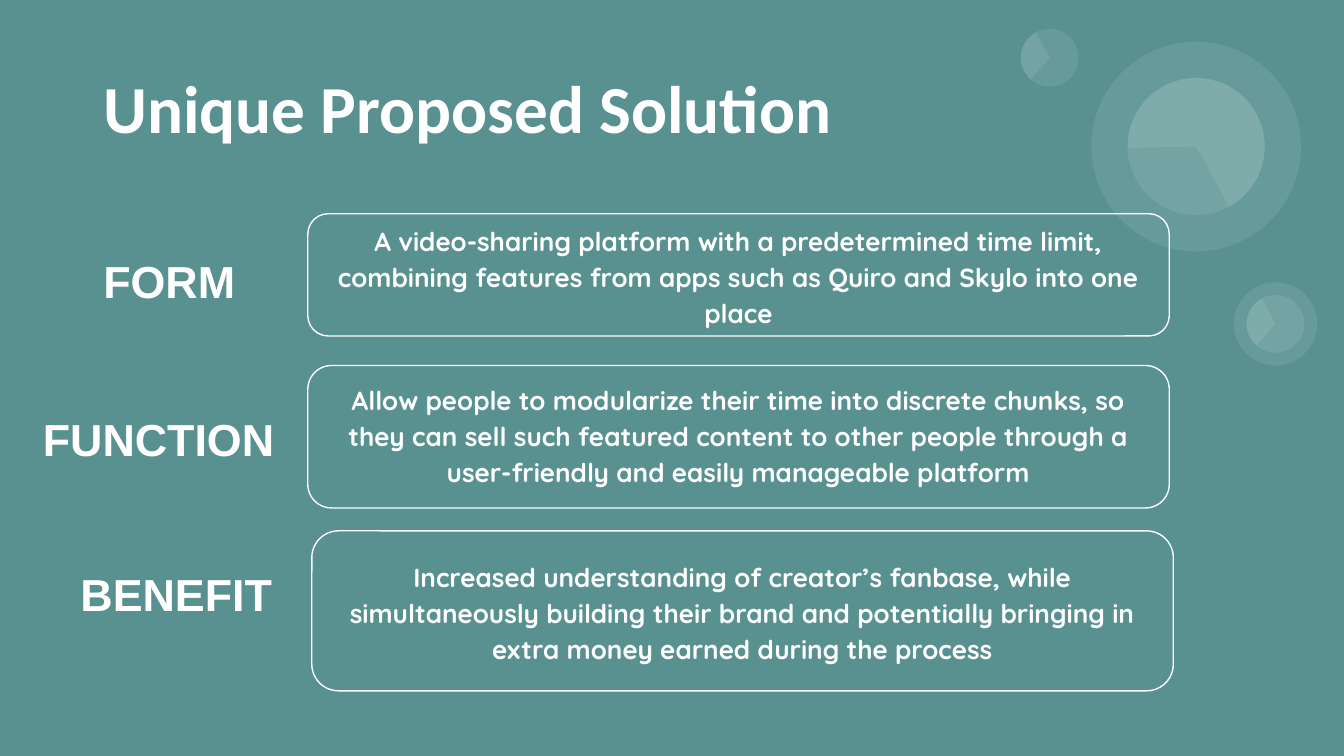
from dataclasses import dataclass

from lxml import etree
from pptx import Presentation
from pptx import util as u
from pptx.dml import color
from pptx.enum import shapes, text
from pptx.oxml import ns


@dataclass(frozen=True)
class Theme:
    background: color.RGBColor = color.RGBColor(0x59, 0x91, 0x91)
    white: color.RGBColor = color.RGBColor(0xFF, 0xFF, 0xFF)
    bubble_alpha: int = 9
    title_font: str = "Calibri"
    label_font: str = "Arial"
    body_font: str = "Quicksand"
    title_size: int = 36
    label_size: int = 24
    body_size: int = 14
    outline: float = 0.75


THEME = Theme()
SLIDE_WIDTH = 10
SLIDE_HEIGHT = SLIDE_WIDTH * 9 / 16
MARGIN = 0.1
BOX_WIDTH = 6.41

BUBBLES = [
    (8.9, 1.09, 1.02, 215.9, (193.77, 123.14)),
    (8.9, 1.09, 1.56, 215.9, None),
    (9.49, 2.41, 0.62, 35.9, None),
    (9.49, 2.41, 0.43, 35.9, (57, 123.14)),
    (7.81, 0.43, 0.43, 35.9, (57, 123.14)),
]

ROWS = [
    ("FORM", (0.67, 1.79, 1.28, 0.5), (2.29, 1.59, BOX_WIDTH, 0.91), MARGIN,
     "A video-sharing platform with a predetermined time limit, combining "
     "features from apps such as Quiro and Skylo into one place"),
    ("FUNCTION", (0.22, 2.96, 2.18, 0.71), (2.29, 2.72, BOX_WIDTH, 1.06), 0.14,
     "Allow people to modularize their time into discrete chunks, so they can "
     "sell such featured content to other people through a user-friendly and "
     "easily manageable platform"),
    ("BENEFIT", (0.5, 4.12, 1.65, 0.71), (2.32, 3.95, BOX_WIDTH, 1.19), MARGIN,
     "Increased understanding of creator’s fanbase, while simultaneously "
     "building their brand and potentially bringing in extra money earned "
     "during the process"),
]


def inches(values):
    return [u.Inches(v) for v in values]


def write(s, content, font, size, anchor, align=text.PP_ALIGN.LEFT,
          spacing=1.0, bottom=MARGIN):
    tf = s.text_frame
    tf.word_wrap = True
    tf.auto_size = text.MSO_AUTO_SIZE.NONE
    tf.vertical_anchor = anchor
    tf.margin_left = tf.margin_right = tf.margin_top = u.Inches(MARGIN)
    tf.margin_bottom = u.Inches(bottom)
    p = tf.paragraphs[0]
    p.text = content
    p.alignment = align
    p.line_spacing = spacing
    p.font.name = font
    p.font.size = u.Pt(size)
    p.font.bold = True
    p.font.color.rgb = THEME.white


def add_disc(slide, kind, cx, cy, size, rotation):
    at = inches((cx - size / 2, cy - size / 2, size, size))
    s = slide.shapes.add_shape(kind, *at)
    s.shadow.inherit = False
    s.rotation = rotation
    s.line.fill.background()
    s.fill.solid()
    s.fill.fore_color.rgb = THEME.white
    rgb = s.fill._xPr.find(".//" + ns.qn("a:srgbClr"))
    alpha = etree.SubElement(rgb, ns.qn("a:alpha"))
    alpha.set("val", str(THEME.bubble_alpha * 1000))
    return s


def add_bubble(slide, cx, cy, size, rotation, sector):
    add_disc(slide, shapes.MSO_SHAPE.OVAL, cx, cy, size, rotation)
    if sector:
        pie = add_disc(slide, shapes.MSO_SHAPE.PIE, cx, cy, size, rotation)
        pie.adjustments[0], pie.adjustments[1] = sector


def set_title(slide, content):
    s = slide.shapes.title
    s.left, s.top, s.width, s.height = inches((0.67, 0.44, BOX_WIDTH, 0.71))
    write(s, content, THEME.title_font, THEME.title_size, text.MSO_ANCHOR.MIDDLE)


def add_label(slide, at, content):
    s = slide.shapes.add_textbox(*inches(at))
    write(s, content, THEME.label_font, THEME.label_size, text.MSO_ANCHOR.TOP)


def add_box(slide, at, content, bottom):
    s = slide.shapes.add_shape(shapes.MSO_SHAPE.ROUNDED_RECTANGLE, *inches(at))
    s.shadow.inherit = False
    s.fill.background()
    s.line.color.rgb = THEME.white
    s.line.width = u.Pt(THEME.outline)
    write(s, content, THEME.body_font, THEME.body_size,
          text.MSO_ANCHOR.MIDDLE, text.PP_ALIGN.CENTER, 1.15, bottom)


def main():
    prs = Presentation()
    prs.slide_width, prs.slide_height = inches((SLIDE_WIDTH, SLIDE_HEIGHT))
    slide = prs.slides.add_slide(prs.slide_layouts.get_by_name("Title Only"))
    slide.background.fill.solid()
    slide.background.fill.fore_color.rgb = THEME.background
    for bubble in BUBBLES:
        add_bubble(slide, *bubble)
    set_title(slide, "Unique Proposed Solution")
    for label, label_at, box_at, bottom, description in ROWS:
        add_box(slide, box_at, description, bottom)
        add_label(slide, label_at, label)
    prs.save("out.pptx")


if __name__ == "__main__":
    main()
